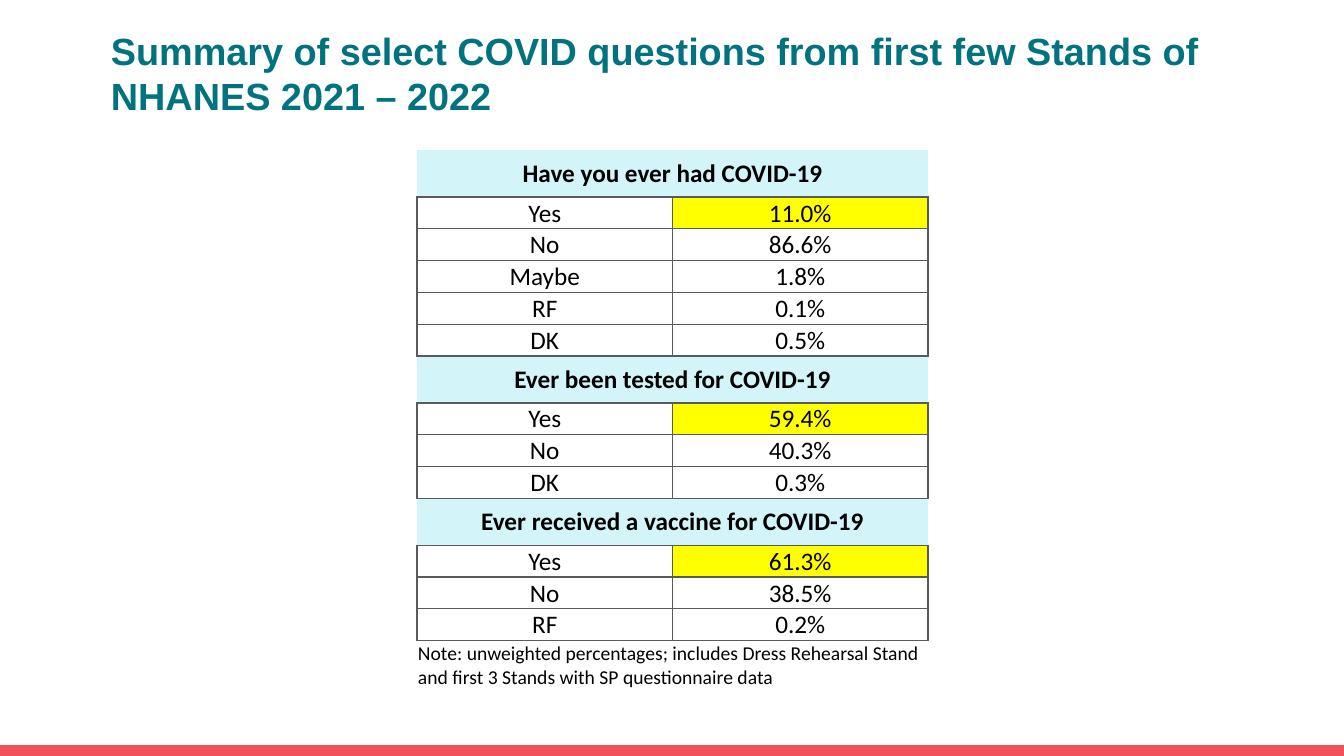
import pptx
import pptx.util
import pptx.dml.color
import pptx.enum.shapes
import pptx.enum.text
import pptx.oxml
import pptx.oxml.ns

COLORS = {"teal": "00737F", "red": "F0515A", "black": "000000",
          "pale": "D3F4F8", "yellow": "FFFF00", "gray": "575B5D"}
ALIGN = pptx.enum.text.PP_ALIGN
MIDDLE = pptx.enum.text.MSO_ANCHOR.MIDDLE

GROUPS = [
    ("Have you ever had COVID-19",
     [("Yes", "11.0%"), ("No", "86.6%"), ("Maybe", "1.8%"),
      ("RF", "0.1%"), ("DK", "0.5%")]),
    ("Ever been tested for COVID-19",
     [("Yes", "59.4%"), ("No", "40.3%"), ("DK", "0.3%")]),
    ("Ever received a vaccine for COVID-19",
     [("Yes", "61.3%"), ("No", "38.5%"), ("RF", "0.2%")]),
]
NOTE = ("Note: unweighted percentages; includes Dress Rehearsal Stand "
        "and first 3 Stands with SP questionnaire data")


def px(count):
    return pptx.util.Emu(round(count * 914400 / 100.8))


def color(name):
    return pptx.dml.color.RGBColor.from_string(COLORS[name])


class Deck:
    """Holds the slide and draws its elements in one style."""

    def __init__(self):
        self.show = pptx.Presentation()
        self.show.slide_width, self.show.slide_height = px(1344), px(756)
        self.slide = self.show.slides.add_slide(self.show.slide_layouts[6])

    def bar(self, left, top, width, height, fill):
        kind = pptx.enum.shapes.MSO_SHAPE.RECTANGLE
        shape = self.slide.shapes.add_shape(kind, *map(px, (left, top, width, height)))
        shape.shadow.inherit = False
        shape.fill.solid()
        shape.fill.fore_color.rgb = color(fill)
        shape.line.fill.background()

    def style(self, frame, text, size, font="Calibri", tint="black",
              bold=False, align=ALIGN.LEFT):
        frame.text = text
        line = frame.paragraphs[0]
        line.alignment = align
        face = line.runs[0].font
        face.name, face.size, face.bold = font, pptx.util.Pt(size), bold
        face.color.rgb = color(tint)

    def title(self, left, top, width, height, text):
        box = self.slide.shapes.add_textbox(*map(px, (left, top, width, height)))
        frame = box.text_frame
        frame.word_wrap = True
        frame.auto_size = pptx.enum.text.MSO_AUTO_SIZE.NONE
        frame.vertical_anchor = MIDDLE
        self.style(frame, text, 27, "Arial", "teal", True)
        frame.paragraphs[0].line_spacing = pptx.util.Pt(32)

    def edges(self, cell, sides):
        props = cell._tc.get_or_add_tcPr()
        for side in "LRTB":
            paint = "<a:noFill/>"
            if side in sides:
                paint = f'<a:solidFill><a:srgbClr val="{COLORS["gray"]}"/></a:solidFill>'
            props.append(pptx.oxml.parse_xml(
                f'<a:ln{side} {pptx.oxml.ns.nsdecls("a")} w="12700">{paint}</a:ln{side}>'))

    def cell(self, cell, text, size=18, fill=None, bold=False, align=ALIGN.CENTER):
        cell.margin_left = cell.margin_right = cell.margin_top = px(1)
        cell.margin_bottom = 0
        cell.vertical_anchor = MIDDLE
        self.style(cell.text_frame, text, size, bold=bold, align=align)
        if fill:
            cell.fill.solid()
            cell.fill.fore_color.rgb = color(fill)
        else:
            cell.fill.background()

    def band(self, grid, row, sides):
        first, last = grid.cell(row, 0), grid.cell(row, 1)
        self.edges(first, sides)
        self.edges(last, sides)
        first.merge(last)
        return first

    def table(self, left, top, width, height, groups, note):
        count = sum(len(answers) + 1 for _, answers in groups) + 1
        frame = self.slide.shapes.add_table(count, 2, *map(px, (left, top, width, height)))
        grid = frame.table
        grid.first_row = grid.horz_banding = False
        for line in grid.rows:
            line.height = px(23)
        row = 0
        for head, answers in groups:
            grid.rows[row].height = px(47)
            self.cell(self.band(grid, row, "TB" if row else "B"), head,
                      fill="pale", bold=True)
            for answer, share in answers:
                row += 1
                for col, text in enumerate((answer, share)):
                    cell = grid.cell(row, col)
                    self.edges(cell, "LRTB")
                    mark = col == 1 and answer == "Yes"
                    self.cell(cell, text, fill="yellow" if mark else None)
            row += 1
        self.cell(self.band(grid, row, "T"), note, 14, align=ALIGN.LEFT)
        frame.height = px(height)


def main():
    deck = Deck()
    deck.bar(0, 745, 1344, 11, "red")
    deck.title(101, 40, 1142, 66,
               "Summary of select COVID questions from first few Stands of NHANES 2021 – 2022")
    deck.table(417, 150, 511, 533, GROUPS, NOTE)
    deck.show.save("out.pptx")


if __name__ == "__main__":
    main()
